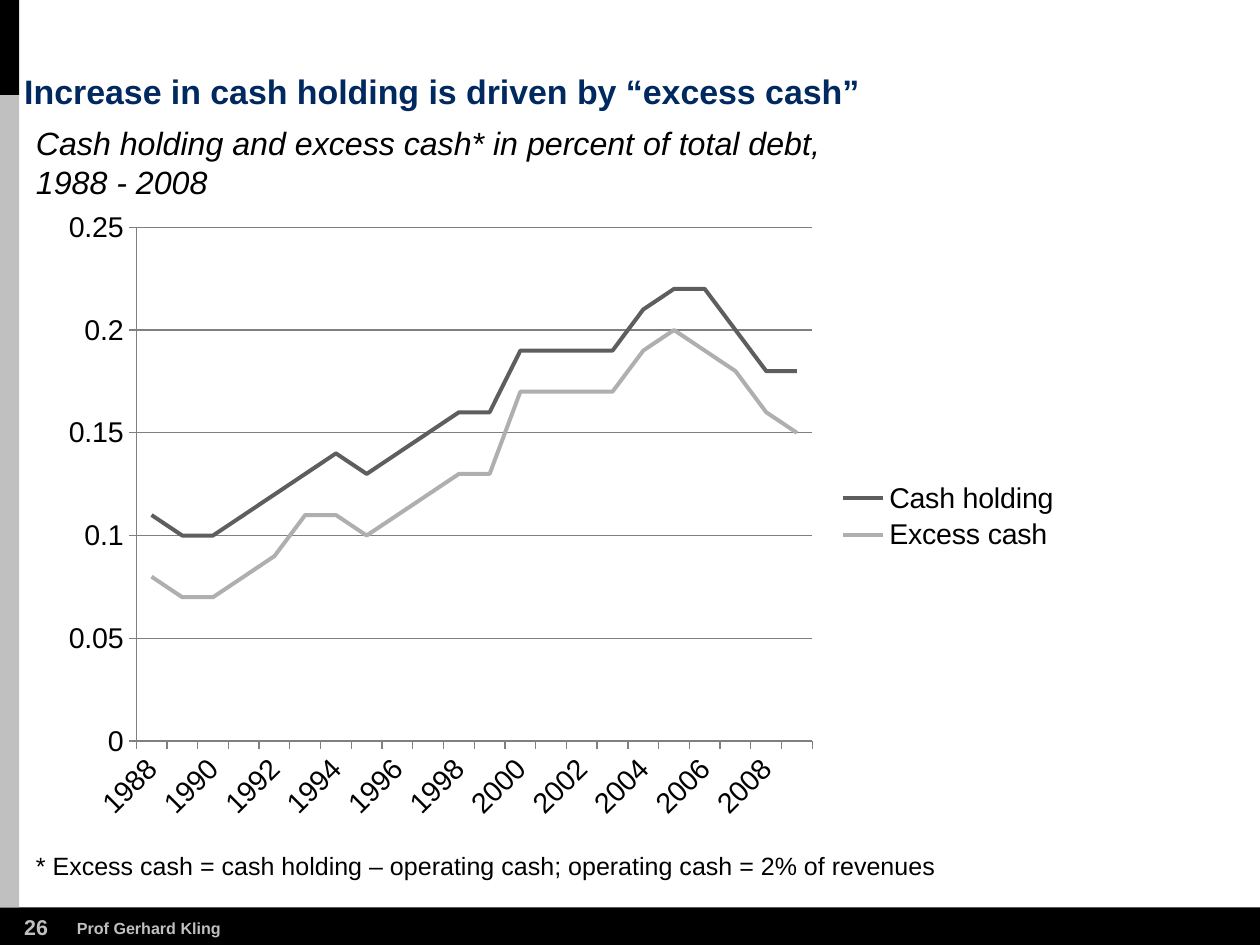
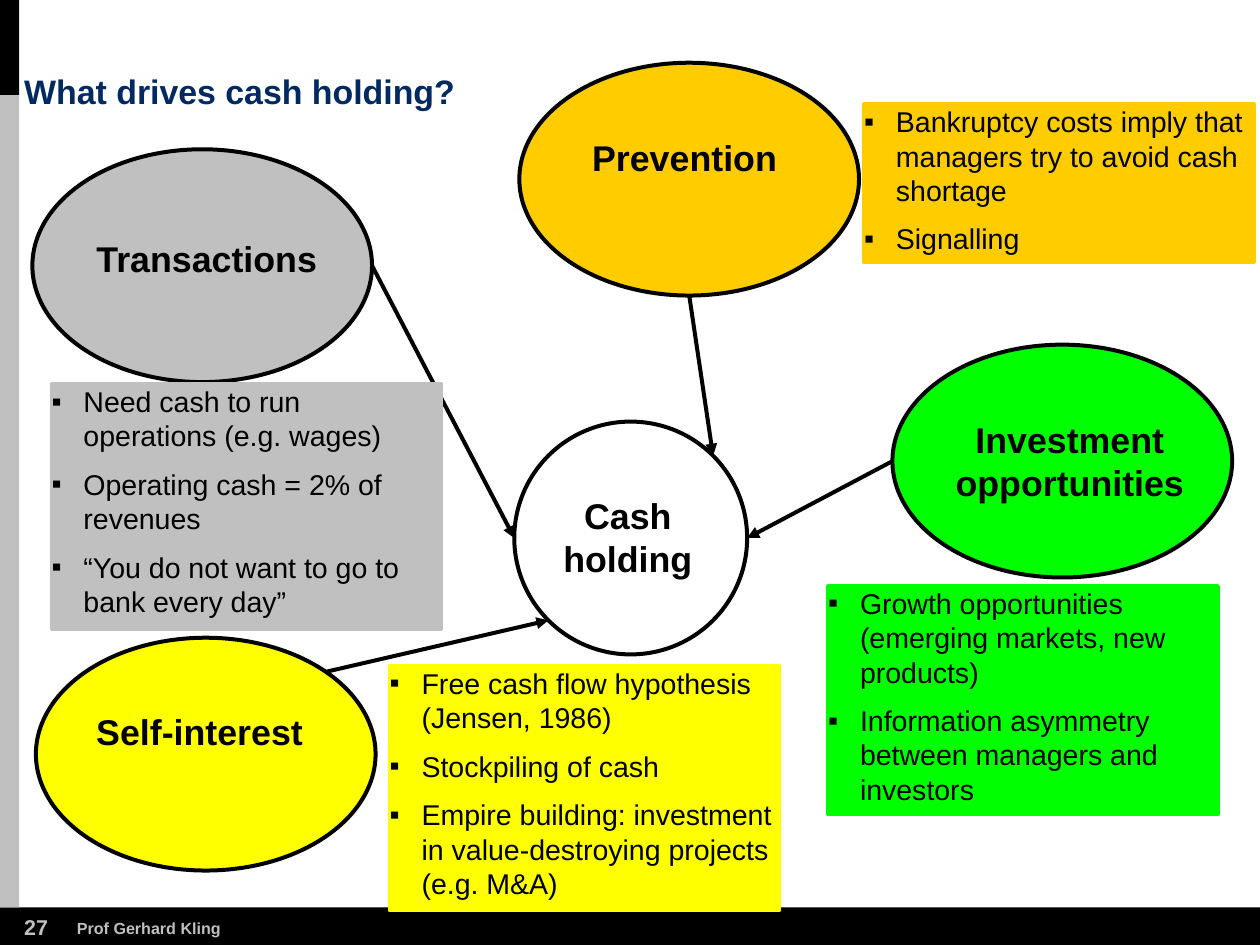
"""Builds two slides on corporate cash holding: a line chart and a diagram of drivers."""
import math

import lxml.etree
import pptx
import pptx.chart.data
import pptx.dml.color
import pptx.enum.chart
import pptx.enum.shapes
import pptx.enum.text
import pptx.oxml.ns
import pptx.util

Cm = pptx.util.Cm
Pt = pptx.util.Pt
qn = pptx.oxml.ns.qn
SHAPE = pptx.enum.shapes.MSO_SHAPE
ALIGN = pptx.enum.text.PP_ALIGN
ANCHOR = pptx.enum.text.MSO_ANCHOR

FONT = "Arial"
WIDTH, HEIGHT = 24.89, 18.67
STROKE = 2.25
COLORS = {
    "black": "000000",
    "grey": "C0C0C0",
    "navy": "002960",
    "orange": "FFCC00",
    "green": "00FF00",
    "yellow": "FFFF00",
    "axis": "808080",
    "dark line": "5E5E5E",
    "light line": "AFAFAF",
}

CASH_HOLDING = [0.11, 0.1, 0.1, 0.11, 0.12, 0.13, 0.14, 0.13, 0.14, 0.15, 0.16,
                0.16, 0.19, 0.19, 0.19, 0.19, 0.21, 0.22, 0.22, 0.2, 0.18, 0.18]
EXCESS_CASH = [0.08, 0.07, 0.07, 0.08, 0.09, 0.11, 0.11, 0.1, 0.11, 0.12, 0.13,
               0.13, 0.17, 0.17, 0.17, 0.17, 0.19, 0.2, 0.19, 0.18, 0.16, 0.15]


def rgb(name):
    return pptx.dml.color.RGBColor.from_string(COLORS[name])


def write(sp, text, size=16, color="black", bold=False, italic=False, align=ALIGN.LEFT,
          anchor=ANCHOR.TOP, wrap=True, spacing=None, bullet=None):
    tf = sp.text_frame
    tf.margin_left = tf.margin_right = tf.margin_top = tf.margin_bottom = 0
    tf.word_wrap = wrap
    tf.vertical_anchor = anchor
    for i, line in enumerate([text] if isinstance(text, str) else text):
        p = tf.add_paragraph() if i else tf.paragraphs[0]
        if bullet:
            pPr = p._p.get_or_add_pPr()
            pPr.set("marL", str(Cm(0.63)))
            pPr.set("indent", str(-Cm(0.63)))
            lxml.etree.SubElement(pPr, qn("a:buFont"), typeface=FONT)
            lxml.etree.SubElement(pPr, qn("a:buChar"), char=bullet)
        p.alignment = align
        if spacing:
            p.line_spacing = spacing
        if i:
            p.space_before = Pt(size / 2)
        r = p.add_run()
        r.text = line
        r.font.name, r.font.size = FONT, Pt(size)
        r.font.bold, r.font.italic = bold, italic
        r.font.color.rgb = rgb(color)
    return sp


def add_text(s, box, text, **fmt):
    return write(s.shapes.add_textbox(*map(Cm, box)), text, **fmt)


def add_box(s, box, fill=None, line=None, kind=SHAPE.RECTANGLE):
    sp = s.shapes.add_shape(kind, *map(Cm, box))
    sp.shadow.inherit = False
    if fill:
        sp.fill.solid()
        sp.fill.fore_color.rgb = rgb(fill)
    else:
        sp.fill.background()
    if line:
        sp.line.color.rgb = rgb(line)
        sp.line.width = Pt(STROKE)
    else:
        sp.line.fill.background()
    return sp


def add_driver(s, box, label_box, label, fill=None):
    sp = add_box(s, box, fill, "black", SHAPE.OVAL)
    add_text(s, label_box, label, size=20, bold=True, align=ALIGN.CENTER)
    return sp


def add_note(s, box, items, color):
    write(add_box(s, box, color, color), items, bullet="▪")


def rim(sp, degrees):
    a = math.radians(degrees)
    return (round(sp.left + sp.width / 2 * (1 + math.cos(a))),
            round(sp.top + sp.height / 2 * (1 - math.sin(a))))


def add_arrow(s, start, end):
    c = s.shapes.add_connector(pptx.enum.shapes.MSO_CONNECTOR.STRAIGHT, *start, *end)
    c.line.color.rgb = rgb("black")
    c.line.width = Pt(STROKE)
    lxml.etree.SubElement(c.line._get_or_add_ln(), qn("a:tailEnd"), type="triangle")
    lxml.etree.SubElement(c._element.spPr, qn("a:effectLst"))


def add_slide(prs, number, title):
    s = prs.slides.add_slide(prs.slide_layouts[6])
    add_box(s, (0, 17.93, WIDTH, 0.74), "black")
    add_box(s, (0, 0, 0.38, 1.88), "black")
    add_box(s, (0, 1.88, 0.38, 16.05), "grey")
    add_text(s, (0.48, 18.06, 0.51, 0.51), str(number), size=12, color="grey",
             bold=True, wrap=False)
    add_text(s, (1.52, 18.14, 2.87, 0.38), "Prof Gerhard Kling", size=9, color="grey",
             bold=True, wrap=False)
    add_text(s, (0.48, 1.47, 19.71, 0.74), title, size=19, color="navy", bold=True,
             anchor=ANCHOR.BOTTOM, spacing=0.9)
    return s


def set_plot_area(chart, **fractions):
    area = chart._chartSpace.chart.plotArea
    for old in area.findall(qn("c:layout")):
        area.remove(old)
    layout = lxml.etree.Element(qn("c:layout"))
    manual = lxml.etree.SubElement(layout, qn("c:manualLayout"))
    settings = {"layoutTarget": "inner", "xMode": "edge", "yMode": "edge", **fractions}
    for tag, val in settings.items():
        lxml.etree.SubElement(manual, qn("c:" + tag), val=str(val))
    area.insert(0, layout)


def style_axis(axis):
    axis.format.line.color.rgb = rgb("axis")
    axis.format.line.width = Pt(0.75)
    axis.major_tick_mark = pptx.enum.chart.XL_TICK_MARK.OUTSIDE
    axis.minor_tick_mark = pptx.enum.chart.XL_TICK_MARK.NONE
    axis.tick_labels.font.size = Pt(16)


def add_line_chart(s, box, categories, series):
    data = pptx.chart.data.CategoryChartData(number_format="General")
    data.categories = categories
    for name, values, _ in series:
        data.add_series(name, values)
    chart = s.shapes.add_chart(pptx.enum.chart.XL_CHART_TYPE.LINE, *map(Cm, box), data).chart
    chart.has_title = False
    chart.font.name, chart.font.size = FONT, Pt(16)
    chart.font.color.rgb = rgb("black")
    chart.has_legend = True
    chart.legend.position = pptx.enum.chart.XL_LEGEND_POSITION.RIGHT
    chart.legend.include_in_layout = False
    chart.legend.font.size = Pt(16)
    chart.plots[0].vary_by_categories = False
    for ser, (_, _, color) in zip(chart.plots[0].series, series):
        ser.smooth = False
        ser.marker.style = pptx.enum.chart.XL_MARKER_STYLE.NONE
        ser.format.line.color.rgb = rgb(color)
        ser.format.line.width = Pt(STROKE)
    years, share = chart.category_axis, chart.value_axis
    style_axis(years)
    style_axis(share)
    share.minimum_scale, share.maximum_scale, share.major_unit = 0, 0.25, 0.05
    share.has_major_gridlines = True
    share.major_gridlines.format.line.color.rgb = rgb("axis")
    share.major_gridlines.format.line.width = Pt(0.75)
    years._element.find(qn("c:txPr")).find(qn("a:bodyPr")).set("rot", "-2700000")
    skip = lxml.etree.Element(qn("c:tickLblSkip"), val="2")
    years._element.find(qn("c:noMultiLvlLbl")).addprevious(skip)
    set_plot_area(chart, x=0.085, y=0.044, w=0.66, h=0.811)


def build_chart_slide(prs):
    s = add_slide(prs, 26, "Increase in cash holding is driven by “excess cash”")
    add_text(s, (0.71, 2.44, 17.04, 1.55),
             "Cash holding and excess cash* in percent of total debt, 1988 - 2008",
             size=18, italic=True)
    add_line_chart(s, (0.97, 3.94, 20.24, 12.52), [str(y) for y in range(1988, 2009)],
                   [("Cash holding", CASH_HOLDING, "dark line"),
                    ("Excess cash", EXCESS_CASH, "light line")])
    add_text(s, (0.71, 16.81, 19.2, 0.61),
             "* Excess cash = cash holding – operating cash; operating cash = 2% of revenues",
             size=14)


def build_drivers_slide(prs):
    s = add_slide(prs, 27, "What drives cash holding?")
    w, h, note_w = 6.71, 4.6, 7.7
    cash = add_driver(s, (10.16, 8.33, h, h), (10.97, 9.75, 2.87, 1.7), "Cash holding")
    investment = add_driver(s, (17.63, 6.81, w, h), (18.62, 8.26, 5.03, 1.7),
                            "Investment opportunities", "green")
    prevention = add_driver(s, (10.26, 1.24, w, h), (11.43, 2.69, 4.19, 0.84),
                            "Prevention", "orange")
    transactions = add_driver(s, (0.64, 2.95, w, h), (1.52, 4.67, 5.13, 0.84),
                              "Transactions", "grey")
    self_interest = add_driver(s, (0.71, 12.6, w, h), (1.85, 14.02, 4.19, 0.84),
                               "Self-interest", "yellow")
    for driver, start, end in [(transactions, 0, 180), (prevention, 270, 45),
                               (investment, 180, 0), (self_interest, 45, 225)]:
        add_arrow(s, rim(driver, start), rim(cash, end))
    add_note(s, (1.02, 7.59, note_w, 4.83),
             ["Need cash to run operations (e.g. wages)",
              "Operating cash = 2% of revenues",
              "“You do not want to go to bank every day”"], "grey")
    add_note(s, (17.07, 2.06, note_w, 3.12),
             ["Bankruptcy costs imply that managers try to avoid cash shortage",
              "Signalling"], "orange")
    add_note(s, (16.36, 11.58, note_w, 4.5),
             ["Growth opportunities (emerging markets, new products)",
              "Information asymmetry between managers and investors"], "green")
    add_note(s, (7.7, 13.16, note_w, 4.83),
             ["Free cash flow hypothesis (Jensen, 1986)",
              "Stockpiling of cash",
              "Empire building: investment in value-destroying projects (e.g. M&A)"],
             "yellow")


def main():
    prs = pptx.Presentation()
    prs.slide_width, prs.slide_height = Cm(WIDTH), Cm(HEIGHT)
    build_chart_slide(prs)
    build_drivers_slide(prs)
    prs.save("out.pptx")


if __name__ == "__main__":
    main()
